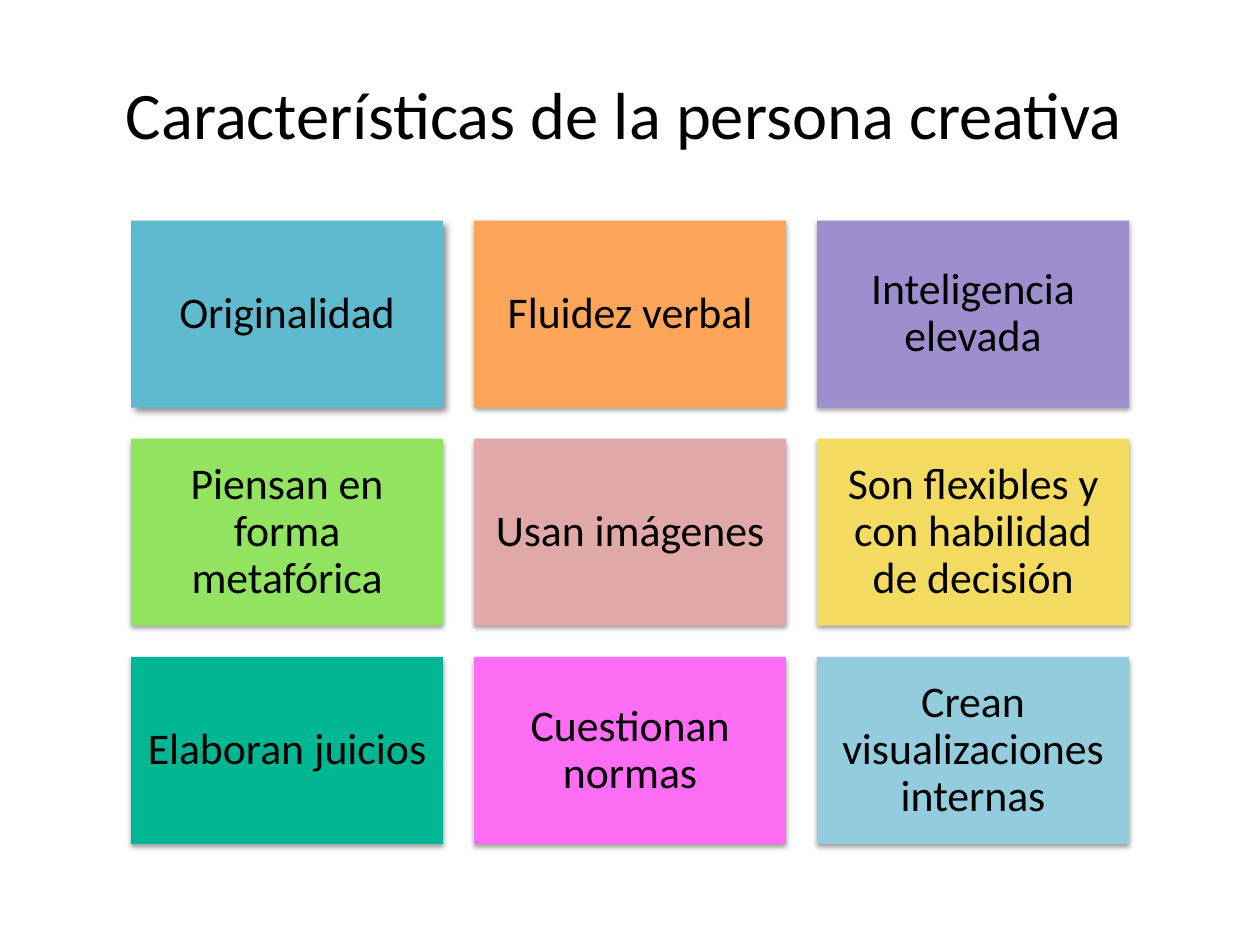
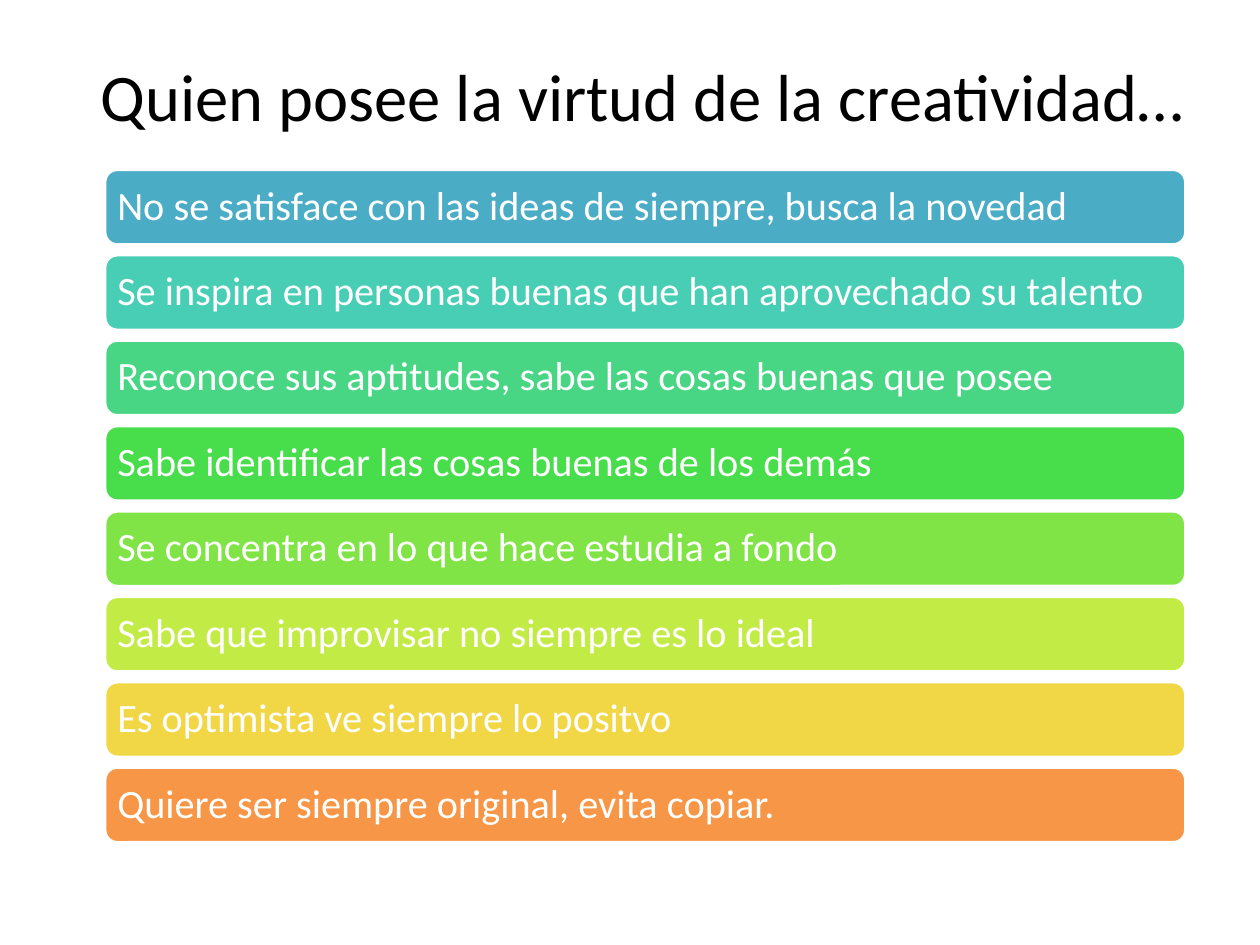
import pptx
import pptx.util
import pptx.dml.color
import pptx.enum.shapes
import pptx.enum.text
import pptx.oxml.ns
import lxml.etree

Pt = pptx.util.Pt
SHAPE = pptx.enum.shapes.MSO_SHAPE
ALIGN = pptx.enum.text.PP_ALIGN
ANCHOR = pptx.enum.text.MSO_ANCHOR
qn = pptx.oxml.ns.qn
FONT = "Calibri"
BLACK = "000000"
WHITE = "FFFFFF"


def rgb(value):
    return pptx.dml.color.RGBColor.from_string(value)


def write(sp, text, size, color, align, anchor, margin, wrap=True):
    tf = sp.text_frame
    tf.word_wrap = wrap
    tf.auto_size = pptx.enum.text.MSO_AUTO_SIZE.NONE
    tf.vertical_anchor = anchor
    tf.margin_left = tf.margin_right = Pt(margin)
    p = tf.paragraphs[0]
    p.alignment = align
    r = p.add_run()
    r.text = text
    r.font.size = Pt(size)
    r.font.name = FONT
    r.font.color.rgb = rgb(color)
    return p


prs = pptx.Presentation()
prs.slide_width, prs.slide_height = Pt(720), Pt(540)

titles = [
    ("Características de la persona creativa", (53.3, 27.4, 607, 74.2), ALIGN.CENTER, ANCHOR.MIDDLE, True),
    ("Quien posee la virtud de la creatividad…", (50.4, 28.1, 640, 53.3), ALIGN.LEFT, ANCHOR.TOP, False),
]
for text, box, align, anchor, wrap in titles:
    s = prs.slides.add_slide(prs.slide_layouts[5])
    sp = s.shapes.title
    sp.left, sp.top, sp.width, sp.height = [Pt(v) for v in box]
    write(sp, text, 38, BLACK, align, anchor, 7.2, wrap)

traits = [
    ("Originalidad", "5EBACF"),
    ("Fluidez verbal", "FDA65A"),
    ("Inteligencia elevada", "9F8ECE"),
    ("Piensan en forma metafórica", "92E360"),
    ("Usan imágenes", "E0A8A6"),
    ("Son flexibles y con habilidad de decisión", "F3DB62"),
    ("Elaboran juicios", "01B693"),
    ("Cuestionan normas", "FE6EF4"),
    ("Crean visualizaciones internas", "93CDDD"),
]
card_w, card_h, gap = 178.2, 106.9, 17.8
s = prs.slides[0]
for i, (text, color) in enumerate(traits):
    row, col = divmod(i, 3)
    sp = s.shapes.add_shape(SHAPE.RECTANGLE, Pt(74.9 + col * (card_w + gap)),
                            Pt(126 + row * (card_h + gap)), Pt(card_w), Pt(card_h))
    sp.fill.solid()
    sp.fill.fore_color.rgb = rgb(color)
    sp.line.fill.background()
    sp.shadow.inherit = False
    opacity, blur, dist, angle = (43, 4, 3, 45) if i == 0 else (38, 3.1, 1.6, 90)
    effects = sp._element.spPr.find(qn("a:effectLst"))
    shadow = lxml.etree.SubElement(effects, qn("a:outerShdw"), blurRad=str(Pt(blur)),
                                   dist=str(Pt(dist)), dir=str(angle * 60000), rotWithShape="0")
    tint = lxml.etree.SubElement(shadow, qn("a:srgbClr"), val=BLACK)
    lxml.etree.SubElement(tint, qn("a:alpha"), val=str(opacity * 1000))
    p = write(sp, text, 25, BLACK, ALIGN.CENTER, ANCHOR.MIDDLE, 7.2)
    p.line_spacing = 0.9

habits = [
    ("No se satisface con las ideas de siempre, busca la novedad", "4BACC6"),
    ("Se inspira en personas buenas que han aprovechado su talento", "49CEB6"),
    ("Reconoce sus aptitudes, sabe las cosas buenas que posee", "48D684"),
    ("Sabe identificar las cosas buenas de los demás", "47DD4B"),
    ("Se concentra en lo que hace estudia a fondo", "80E446"),
    ("Sabe que improvisar no siempre es lo ideal", "C3EB46"),
    ("Es optimista ve siempre lo positvo", "F1D746"),
    ("Quiere ser siempre original, evita copiar.", "F79646"),
]
s = prs.slides[1]
for i, (text, color) in enumerate(habits):
    sp = s.shapes.add_shape(SHAPE.ROUNDED_RECTANGLE, Pt(59.8), Pt(96.8 + i * 48.8), Pt(617.8), Pt(43.2))
    sp.fill.solid()
    sp.fill.fore_color.rgb = rgb(color)
    sp.line.color.rgb = rgb(WHITE)
    sp.line.width = Pt(2)
    sp.shadow.inherit = False
    p = write(sp, text, 23, WHITE, ALIGN.LEFT, ANCHOR.MIDDLE, 5.1)
    p.line_spacing = 0.9

prs.save("out.pptx")
